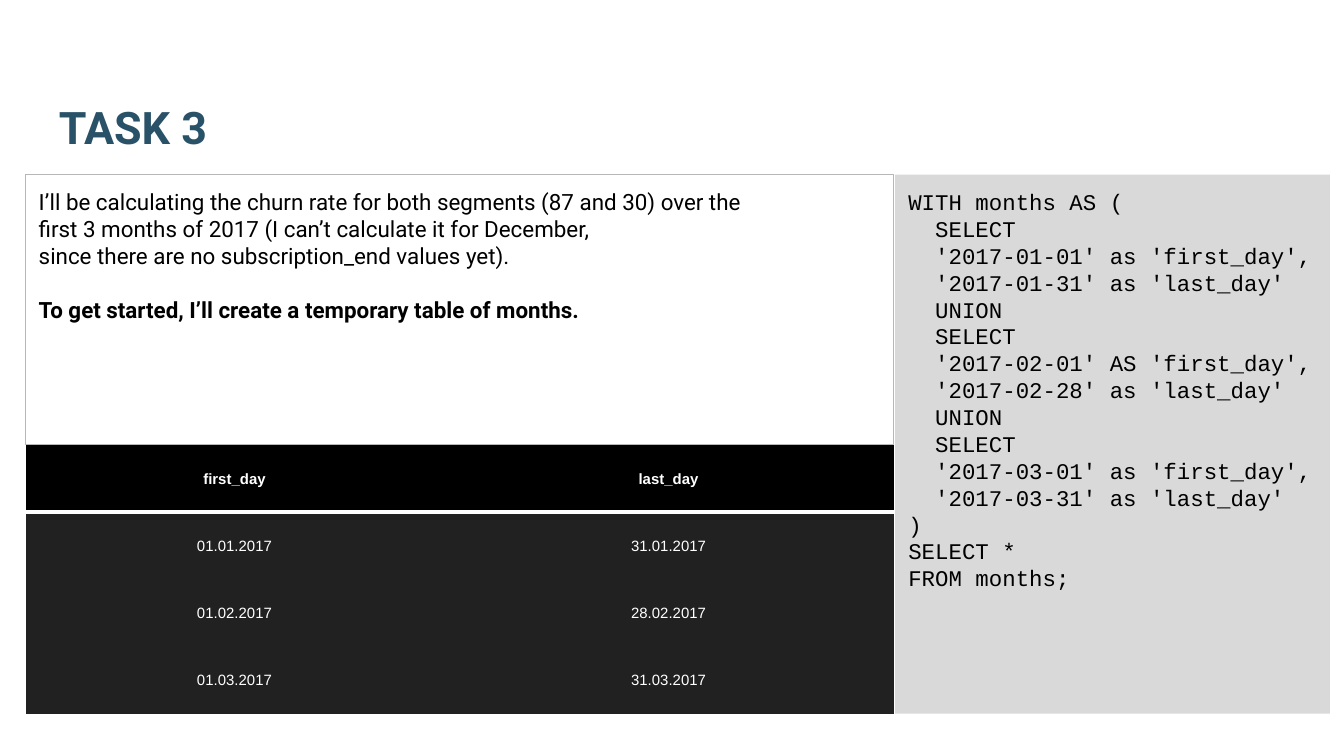
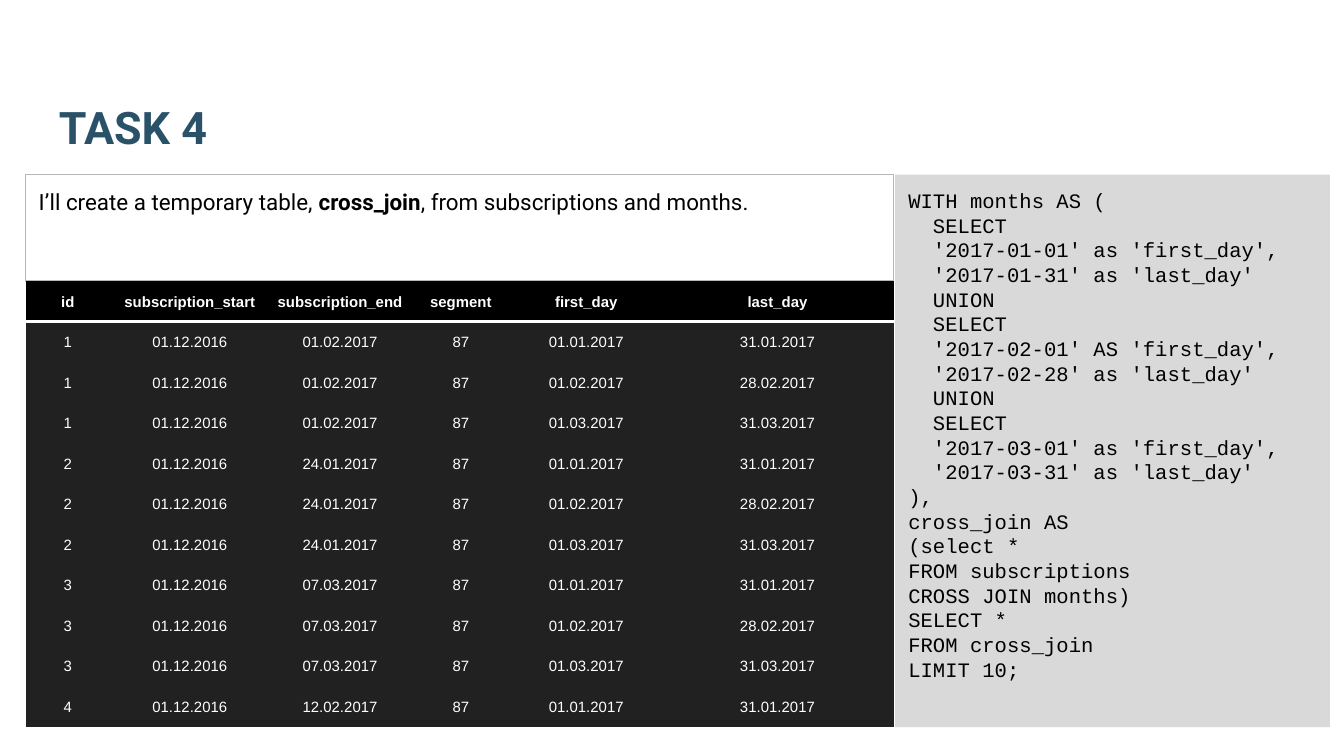
"""Build two slides on a churn query: the months table and its cross join."""
from dataclasses import dataclass
from itertools import islice, product
from typing import NamedTuple

from lxml.etree import SubElement
from pptx import Presentation
from pptx.dml.color import RGBColor
from pptx.enum.shapes import MSO_SHAPE
from pptx.enum.text import MSO_ANCHOR, PP_ALIGN
from pptx.oxml import parse_xml
from pptx.oxml.ns import nsdecls, qn
from pptx.util import Emu, Inches, Pt

WIDTH, HEIGHT = Inches(10), Inches(5.625)
GRID_COLUMNS, GRID_ROWS = 100, 56.25

TITLE_BLUE = RGBColor(0x29, 0x52, 0x69)
CODE_GREY = RGBColor(0xD9, 0xD9, 0xD9)
OUTLINE_GREY = RGBColor(0xB7, 0xB7, 0xB7)
BODY_GREY = RGBColor(0x21, 0x21, 0x21)
BLACK = RGBColor(0, 0, 0)
WHITE = RGBColor(0xFF, 0xFF, 0xFF)

HEADING_FONT, CODE_FONT, TABLE_FONT = "Roboto", "Courier New", "Arial"
NO_TABLE_STYLE = "{2D5ABB26-0587-4C30-8999-92F81FD0307C}"
PANEL_LEFT, PANEL_TOP, PANEL_WIDTH = 1.9, 13, 64.6
CODE_LEFT, CODE_WIDTH = 66.6, 32.35
INSET = 1
CODE_CHAR_SHARE = 0.6


class Span(NamedTuple):
    text: str
    bold: bool = False


@dataclass(frozen=True)
class Line:
    spans: tuple[Span, ...]
    indent_chars: int = 0
    space_before: float = 0


class Area(NamedTuple):
    left: float
    top: float
    width: float
    height: float


@dataclass(frozen=True)
class Task:
    title: str
    explanation: list[Line]
    query: list[Line]
    query_size: float
    panel_rows: float
    result_rows: float
    column_shares: list[float]
    result: list[tuple[str, ...]]


def columns(count: float) -> Emu:
    """Return the width of a number of grid columns."""
    return Emu(round(WIDTH * count / GRID_COLUMNS))


def rows(count: float) -> Emu:
    """Return the height of a number of grid rows."""
    return Emu(round(HEIGHT * count / GRID_ROWS))


def place(area: Area) -> tuple[Emu, Emu, Emu, Emu]:
    """Turn an area on the grid into slide lengths."""
    return columns(area.left), rows(area.top), columns(area.width), rows(area.height)


def plain(*texts: str, indent_chars: int = 0) -> list[Line]:
    """Make one unformatted line of each text."""
    return [Line((Span(text),), indent_chars) for text in texts]


def write(frame, lines: list[Line], *, font: str, size: float, color: RGBColor = BLACK,
          align: PP_ALIGN = PP_ALIGN.LEFT, anchor: MSO_ANCHOR = MSO_ANCHOR.TOP) -> None:
    """Fill a text frame with formatted lines."""
    frame.word_wrap = True
    frame.vertical_anchor = anchor
    for number, line in enumerate(lines):
        paragraph = frame.add_paragraph() if number else frame.paragraphs[0]
        paragraph.alignment = align
        if line.space_before:
            paragraph.space_before = Pt(line.space_before)
        if line.indent_chars:
            indent = Pt(line.indent_chars * CODE_CHAR_SHARE * size)
            paragraph._p.get_or_add_pPr().set("marL", str(indent))
        for span in line.spans:
            run = paragraph.add_run()
            run.text = span.text
            run.font.name = font
            run.font.size = Pt(size)
            run.font.bold = span.bold
            run.font.color.rgb = color


def pad(frame) -> None:
    """Give a text frame the same inset on each side."""
    frame.margin_left = frame.margin_right = columns(INSET)
    frame.margin_top = frame.margin_bottom = rows(INSET)


def add_title(slide, title: str) -> None:
    """Add the task heading."""
    frame = slide.shapes.add_textbox(*place(Area(3.4, 3.2, 93.2, 9.2))).text_frame
    pad(frame)
    write(frame, [Line((Span(title, True),))], font=HEADING_FONT, size=24,
          color=TITLE_BLUE, anchor=MSO_ANCHOR.BOTTOM)


def add_panel(slide, area: Area, *, fill: RGBColor | None = None,
              outline: RGBColor | None = None):
    """Add a rectangle and return its text frame."""
    panel = slide.shapes.add_shape(MSO_SHAPE.RECTANGLE, *place(area))
    panel.shadow.inherit = False
    if fill is None:
        panel.fill.background()
    else:
        panel.fill.solid()
        panel.fill.fore_color.rgb = fill
    if outline is None:
        panel.line.fill.background()
    else:
        panel.line.color.rgb = outline
        panel.line.width = Pt(0.75)
    pad(panel.text_frame)
    return panel.text_frame


def underline_cell(cell) -> None:
    """Draw a white rule along the bottom of a cell."""
    rule = parse_xml(f'<a:lnB {nsdecls("a")} w="{Pt(2)}"/>')
    fill = SubElement(rule, qn("a:solidFill"))
    SubElement(fill, qn("a:srgbClr")).set("val", str(WHITE))
    cell._tc.get_or_add_tcPr().insert(0, rule)


def add_result(slide, area: Area, shares: list[float],
               records: list[tuple[str, ...]]) -> None:
    """Add a query result with a ruled header row."""
    table = slide.shapes.add_table(len(records), len(shares), *place(area)).table
    table.horz_banding = False
    table._tbl.tblPr.find(qn("a:tableStyleId")).text = NO_TABLE_STYLE
    for column, share in zip(table.columns, shares):
        column.width = columns(area.width * share / sum(shares))
    for row in table.rows:
        row.height = rows(area.height / len(records))
    for row_number, record in enumerate(records):
        header = row_number == 0
        for column_number, value in enumerate(record):
            cell = table.cell(row_number, column_number)
            cell.margin_left = cell.margin_right = cell.margin_top = Inches(0.01)
            cell.margin_bottom = 0
            cell.vertical_anchor = MSO_ANCHOR.MIDDLE
            cell.fill.solid()
            cell.fill.fore_color.rgb = BLACK if header else BODY_GREY
            write(cell.text_frame, [Line((Span(value, header),))], font=TABLE_FONT,
                  size=8, color=WHITE, align=PP_ALIGN.CENTER, anchor=MSO_ANCHOR.MIDDLE)
            if header:
                underline_cell(cell)


def add_task(deck, task: Task) -> None:
    """Add the slide of one task."""
    slide = deck.slides.add_slide(deck.slide_layouts[6])
    explanation_rows = task.panel_rows - task.result_rows
    add_title(slide, task.title)
    query = add_panel(slide, Area(CODE_LEFT, PANEL_TOP, CODE_WIDTH, task.panel_rows),
                      fill=CODE_GREY)
    write(query, task.query, font=CODE_FONT, size=task.query_size, align=PP_ALIGN.JUSTIFY)
    explanation = add_panel(
        slide, Area(PANEL_LEFT, PANEL_TOP, PANEL_WIDTH, explanation_rows),
        outline=OUTLINE_GREY)
    write(explanation, task.explanation, font=HEADING_FONT, size=12)
    add_result(slide, Area(PANEL_LEFT, PANEL_TOP + explanation_rows, PANEL_WIDTH,
                           task.result_rows), task.column_shares, task.result)


MONTHS_QUERY = plain("WITH months AS (") + plain(
    "SELECT",
    "'2017-01-01' as 'first_day',",
    "'2017-01-31' as 'last_day'",
    "UNION",
    "SELECT",
    "'2017-02-01' AS 'first_day',",
    "'2017-02-28' as 'last_day'",
    "UNION",
    "SELECT",
    "'2017-03-01' as 'first_day',",
    "'2017-03-31' as 'last_day'",
    indent_chars=2,
)
MONTHS_HEADER = ("first_day", "last_day")
MONTHS = [("01.01.2017", "31.01.2017"), ("01.02.2017", "28.02.2017"),
          ("01.03.2017", "31.03.2017")]
SUBSCRIPTIONS_HEADER = ("id", "subscription_start", "subscription_end", "segment")
SUBSCRIPTIONS = [
    (subscriber, "01.12.2016", end, "87")
    for subscriber, end in (("1", "01.02.2017"), ("2", "24.01.2017"),
                            ("3", "07.03.2017"), ("4", "12.02.2017"))
]
CROSS_JOIN = [subscription + month
              for subscription, month in islice(product(SUBSCRIPTIONS, MONTHS), 10)]

TASKS = [
    Task(
        title="TASK 3",
        explanation=plain(
            "I’ll be calculating the churn rate for both segments (87 and 30) over the",
            "first 3 months of 2017 (I can’t calculate it for December,",
            "since there are no subscription_end values yet).",
        ) + [Line((Span("To get started, I’ll create a temporary table of months.", True),),
                  space_before=14.4)],
        query=MONTHS_QUERY + plain(")", "SELECT *", "FROM months;"),
        query_size=12,
        panel_rows=40.1,
        result_rows=20,
        column_shares=[3.11, 3.35],
        result=[MONTHS_HEADER, *MONTHS],
    ),
    Task(
        title="TASK 4",
        explanation=[Line((Span("I’ll create a temporary table, "), Span("cross_join", True),
                           Span(", from subscriptions and months.")))],
        query=MONTHS_QUERY + plain(
            "),", "cross_join AS", "(select *", "FROM subscriptions", "CROSS JOIN months)",
            "SELECT *", "FROM cross_join", "LIMIT 10;"),
        query_size=11,
        panel_rows=41.1,
        result_rows=33.2,
        column_shares=[0.63, 1.19, 1.05, 0.75, 1.12, 1.73],
        result=[SUBSCRIPTIONS_HEADER + MONTHS_HEADER, *CROSS_JOIN],
    ),
]


def main() -> None:
    """Build and save the deck."""
    deck = Presentation()
    deck.slide_width, deck.slide_height = WIDTH, HEIGHT
    for task in TASKS:
        add_task(deck, task)
    deck.save("out.pptx")


if __name__ == "__main__":
    main()
